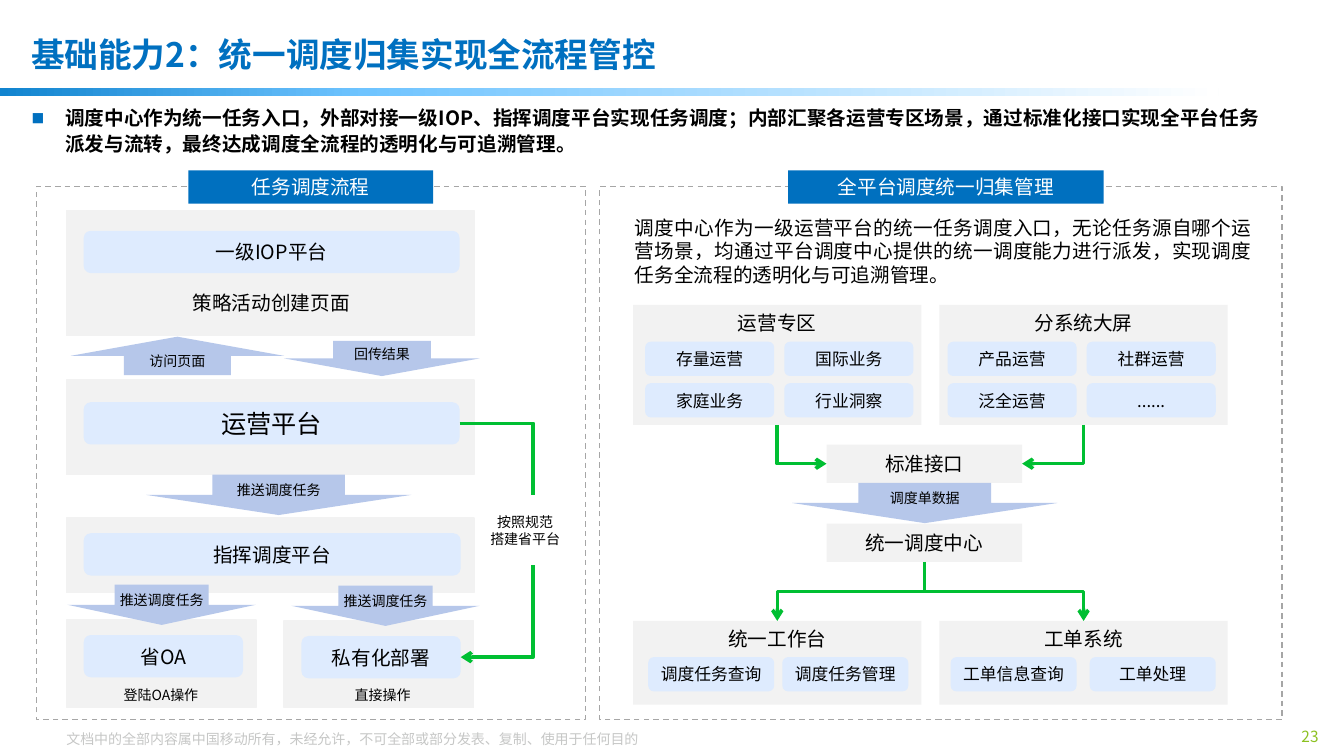
from copy import deepcopy
from pptx import Presentation
from pptx import util as u
from pptx.dml import color
from pptx.enum import dml, shapes, text
from pptx.oxml import ns, xmlchemy

Pt = u.Pt
RGB = color.RGBColor.from_string
KIND = shapes.MSO_SHAPE
ALIGN = text.PP_ALIGN
ANCHOR = text.MSO_ANCHOR
THEME = {
    "font": "Noto Sans CJK SC", "black": "000000", "white": "FFFFFF",
    "title": "0070C0", "blue": "0070BF", "panel": "F2F2F2", "node": "DEEBFE",
    "arrow": "B6C7EA", "frame": "A6A6A6", "wire": "00BF32",
    "footer": "C6C7C6", "number": "8CC121",
    "bar": [(0, "1184CF"), (0.3, "6FC4FF"), (1, "FFFFFF")],
    "heading": 24, "large": 18, "body": 14, "small": 12, "note": 10, "page": 11,
}


def write(box, label, size, ink="black", align=ALIGN.CENTER, bold=False, leading=1.2, **frame_format):
    frame = box.text_frame
    frame.text = label
    for name, value in {"word_wrap": True, **frame_format}.items():
        setattr(frame, name, value)
    for para in frame.paragraphs:
        para.alignment = align
        para.line_spacing = Pt(THEME[size] * leading)
        for span in para.runs:
            font_format = {"name": THEME["font"], "size": Pt(THEME[size]), "bold": bold}
            for name, value in font_format.items():
                setattr(span.font, name, value)
            span.font.color.rgb = RGB(THEME[ink])
            east = xmlchemy.OxmlElement("a:ea")
            east.set("typeface", THEME["font"])
            span.font._element.append(east)
    return frame.paragraphs[0]


def block(kind, area, fill=None, label="", size="body", ink="black", line=None):
    box = page.shapes.add_shape(kind, *map(Pt, area))
    box.shadow.inherit = False
    if fill:
        box.fill.solid()
        box.fill.fore_color.rgb = RGB(THEME[fill])
    else:
        box.fill.background()
    if line:
        box.line.color.rgb = RGB(THEME[line])
        box.line.width = Pt(1)
    else:
        box.line.fill.background()
    if label:
        margins = dict.fromkeys(["margin_left", "margin_top", "margin_right", "margin_bottom"], 0)
        write(box, label, size, ink, vertical_anchor=ANCHOR.MIDDLE, **margins)
    return box


deck = Presentation()
deck.slide_width, deck.slide_height = Pt(960), Pt(540)
page = deck.slides.add_slide(deck.slide_layouts[6])

bar = block(KIND.RECTANGLE, (0, 63, 870.5, 5.8), "blue")
bar.fill.gradient()
bar.fill.gradient_angle = 0
stop_list = bar.element.find(".//" + ns.qn("a:gsLst"))
stop_list.append(deepcopy(stop_list[0]))
for stop, (position, tint) in zip(bar.fill.gradient_stops, THEME["bar"]):
    stop.position = position
    stop.color.rgb = RGB(tint)

captions = [
    ((40.3, 518, 843, 19.4), "文档中的全部内容属中国移动所有，未经允许，不可全部或部分发表、复制、使用于任何目的",
     "note", {"ink": "footer", "align": ALIGN.LEFT, "vertical_anchor": ANCHOR.MIDDLE}),
    ((913.7, 516.2, 35.3, 19.4), "23",
     "page", {"ink": "number", "align": ALIGN.RIGHT, "vertical_anchor": ANCHOR.MIDDLE, "word_wrap": False}),
    ((15.1, 13.4, 749.5, 50.4), "基础能力2：统一调度归集实现全流程管控",
     "heading", {"ink": "title", "align": ALIGN.LEFT, "bold": True, "vertical_anchor": ANCHOR.MIDDLE}),
    ((446.4, 150.5, 455, 58.3),
     "调度中心作为一级运营平台的统一任务调度入口，无论任务源自哪个运营场景，均通过平台调度中心提供的统一调度能力进行派发，实现调度任务全流程的透明化与可追溯管理。",
     "body", {"align": ALIGN.JUSTIFY}),
]
for area, label, size, formats in captions:
    write(page.shapes.add_textbox(*map(Pt, area)), label, size, **formats)

summary = page.shapes.add_textbox(Pt(15.5), Pt(70.6), Pt(900), Pt(59.8))
para = write(
    summary,
    "调度中心作为统一任务入口，外部对接一级IOP、指挥调度平台实现任务调度；内部汇聚各运营专区场景，通过标准化接口实现全平台任务派发与流转，最终达成调度全流程的透明化与可追溯管理。",
    "body", align=ALIGN.LEFT, bold=True, leading=1.33)
bullet = para._p.get_or_add_pPr()
bullet.set("marL", str(Pt(24)))
bullet.set("indent", str(-Pt(24)))
bullet_color = xmlchemy.OxmlElement("a:buClr")
tint = xmlchemy.OxmlElement("a:srgbClr")
tint.set("val", THEME["blue"])
bullet_color.append(tint)
bullet_size = xmlchemy.OxmlElement("a:buSzPct")
bullet_size.set("val", "65000")
bullet_font = xmlchemy.OxmlElement("a:buFont")
bullet_font.set("typeface", THEME["font"])
bullet_mark = xmlchemy.OxmlElement("a:buChar")
bullet_mark.set("char", "■")
bullet.extend([bullet_color, bullet_size, bullet_font, bullet_mark])

nodes = {}
flow_steps = [
    ((47.5, 271.4, 291, 67.7), 287.3, 268.5, "运营平台", "large"),
    ((47.5, 150.5, 291, 89.3), 164.9, 268.5, "一级IOP平台", "body"),
    ((47.5, 370, 291, 53.3), 380.9, 269.2, "指挥调度平台", "body"),
    ((47.5, 442.8, 135.4, 62.6), 453.6, 113.8, "省OA", "body"),
    ((203, 443.5, 135.4, 62), 454.3, 113.8, "私有化部署", "body"),
]
for panel, node_top, node_width, label, size in flow_steps:
    block(KIND.RECTANGLE, panel, "panel", line="panel")
    node_area = (panel[0] + 12.3, node_top, node_width, 30.2)
    nodes[label] = block(KIND.ROUNDED_RECTANGLE, node_area, "node", label, size)

for area, label, size in [
    ((117.4, 204.5, 152.6, 24.5), "策略活动创建页面", "body"),
    ((75, 486.7, 80, 19.4), "登陆OA操作", "note"),
    ((244.8, 486.7, 56.9, 19.4), "直接操作", "note"),
]:
    write(page.shapes.add_textbox(*map(Pt, area)), label, size)

columns = [(452.2, ["运营专区", "统一工作台"]), (671, ["分系统大屏", "工单系统"])]
panels = {}
for left, titles in columns:
    for title, top, height in zip(titles, (217.8, 443.5), (85.7, 59.8)):
        panels[title] = block(KIND.RECTANGLE, (left, top, 206, height), "panel")
        title_width = THEME["body"] * len(title) + 14.4
        title_area = (left + 103 - title_width / 2, top + 1, title_width, 24.5)
        write(page.shapes.add_textbox(*map(Pt, title_area)), title, "body", word_wrap=False)

for left, pitch, top, width, rows in [
    (460.8, 99.4, 244.1, 92.2, [["存量运营", "国际业务"], ["家庭业务", "行业洞察"]]),
    (676.8, 99.4, 244.1, 92.2, [["产品运营", "社群运营"], ["泛全运营", "......"]]),
    (463, 95.8, 469.4, 90, [["调度任务查询", "调度任务管理"]]),
    (679, 99.4, 469.4, 90, [["工单信息查询", "工单处理"]]),
]:
    for row, labels in enumerate(rows):
        for column, label in enumerate(labels):
            area = (left + column * pitch, top + row * 29.6, width, 24.5)
            block(KIND.ROUNDED_RECTANGLE, area, "node", label, "small")

for label, top in [("标准接口", 317.5), ("统一调度中心", 374)]:
    nodes[label] = block(KIND.RECTANGLE, (590.4, top, 139.7, 27.4), "panel", label)

for kind, area, label in [
    (KIND.DOWN_ARROW, (104.4, 339.1, 189.4, 28.8), "推送调度任务"),
    (KIND.UP_ARROW, (50.4, 240.5, 152.6, 27.4), "访问页面"),
    (KIND.DOWN_ARROW, (203, 243.4, 139.7, 25.2), "回传结果"),
    (KIND.DOWN_ARROW, (48.2, 417.6, 134.6, 28.8), "推送调度任务"),
    (KIND.DOWN_ARROW, (208.1, 418.3, 134.6, 28.8), "推送调度任务"),
    (KIND.DOWN_ARROW, (565.9, 344.9, 189.4, 28.8), "调度单数据"),
]:
    block(kind, area, "arrow", label, "note")

hub = nodes["统一调度中心"]
for source, source_side, target, target_side, preset in [
    (nodes["运营平台"], 3, nodes["私有化部署"], 3, "bentConnector3"),
    (panels["运营专区"], 2, nodes["标准接口"], 1, "bentConnector2"),
    (panels["分系统大屏"], 2, nodes["标准接口"], 3, "bentConnector2"),
    (hub, 2, panels["统一工作台"], 0, "bentConnector3"),
    (hub, 2, panels["工单系统"], 0, "bentConnector3"),
]:
    wire = page.shapes.add_connector(shapes.MSO_CONNECTOR.ELBOW, 0, 0, Pt(1), Pt(1))
    wire.begin_connect(source, source_side)
    wire.end_connect(target, target_side)
    x1, y1, x2, y2 = wire.begin_x, wire.begin_y, wire.end_x, wire.end_y
    span_x, span_y = abs(x2 - x1), abs(y2 - y1)
    turned = source_side == 2
    wire.width, wire.height = (span_y, span_x) if turned else (span_x, span_y)
    wire.left = (x1 + x2 - wire.width) // 2
    wire.top = (y1 + y2 - wire.height) // 2
    properties = wire.element.spPr
    turn = properties.find(ns.qn("a:xfrm"))
    turn.set("rot", "5400000" if turned else "0")
    turn.set("flipH", "0")
    turn.set("flipV", "1" if turned and x2 > x1 else "0")
    geometry = properties.find(ns.qn("a:prstGeom"))
    geometry.set("prst", preset)
    if not turned:
        guide = xmlchemy.OxmlElement("a:gd")
        guide.set("name", "adj1")
        guide.set("fmla", f"val {round(Pt(53) / span_x * 100000)}")
        geometry.get_or_add_avLst().append(guide)
    wire.line.color.rgb = RGB(THEME["wire"])
    wire.line.width = Pt(2.5)
    head = xmlchemy.OxmlElement("a:tailEnd")
    head.set("type", "arrow")
    wire.line._get_or_add_ln().append(head)
    properties.append(xmlchemy.OxmlElement("a:effectLst"))

block(KIND.RECTANGLE, (342.7, 354.2, 64.8, 49), "white", "按照规范\n搭建省平台", "note", line="white")

for left, width, label, tab_left, tab_width in [
    (26, 392.4, "任务调度流程", 134.5, 175),
    (428.4, 487.4, "全平台调度统一归集管理", 563, 225.4),
]:
    frame_box = block(KIND.RECTANGLE, (left, 133.2, width, 380.9), line="frame")
    frame_box.line.dash_style = dml.MSO_LINE.DASH
    block(KIND.RECTANGLE, (tab_left, 121.7, tab_width, 23.8), "blue", label, ink="white")

deck.save("out.pptx")
